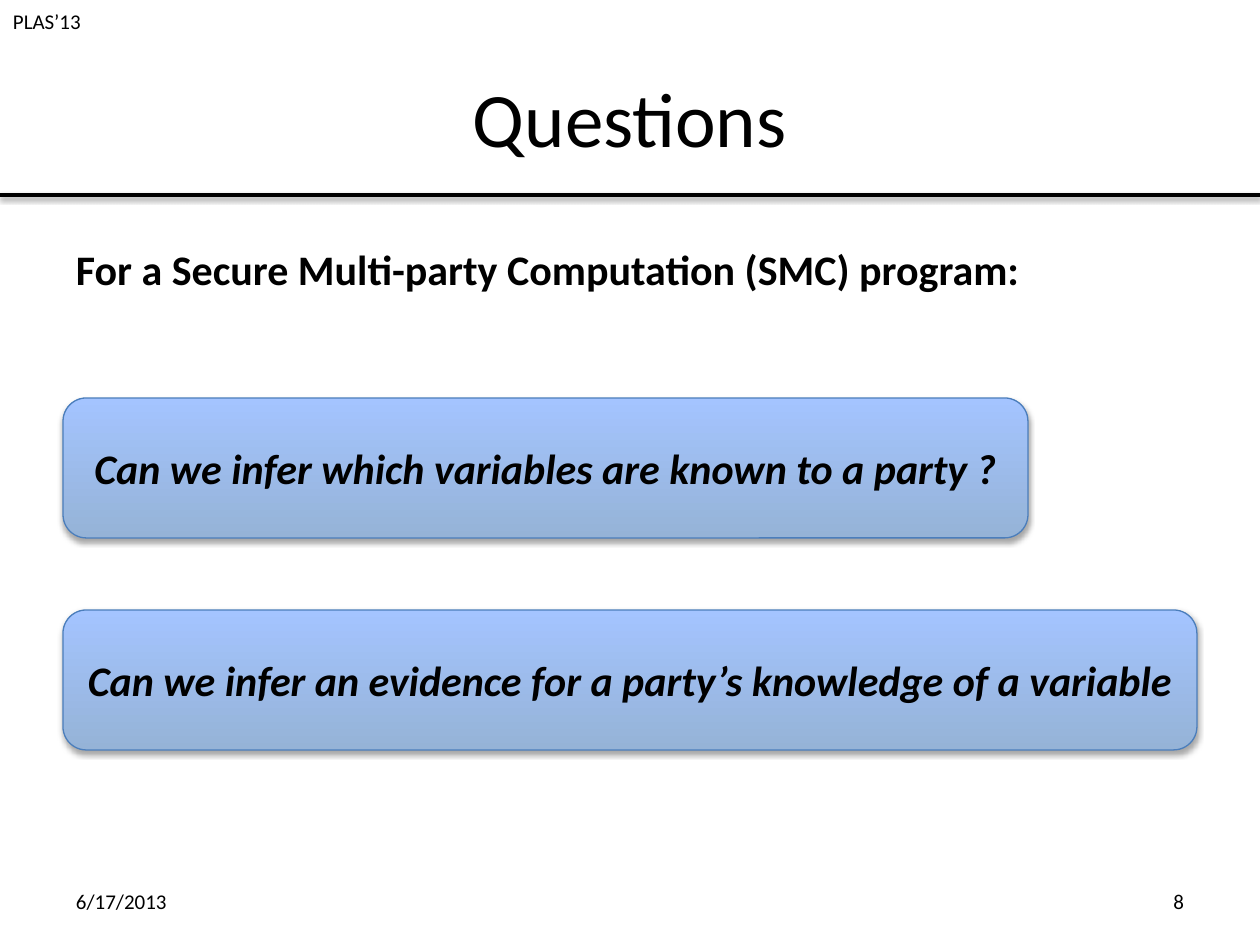
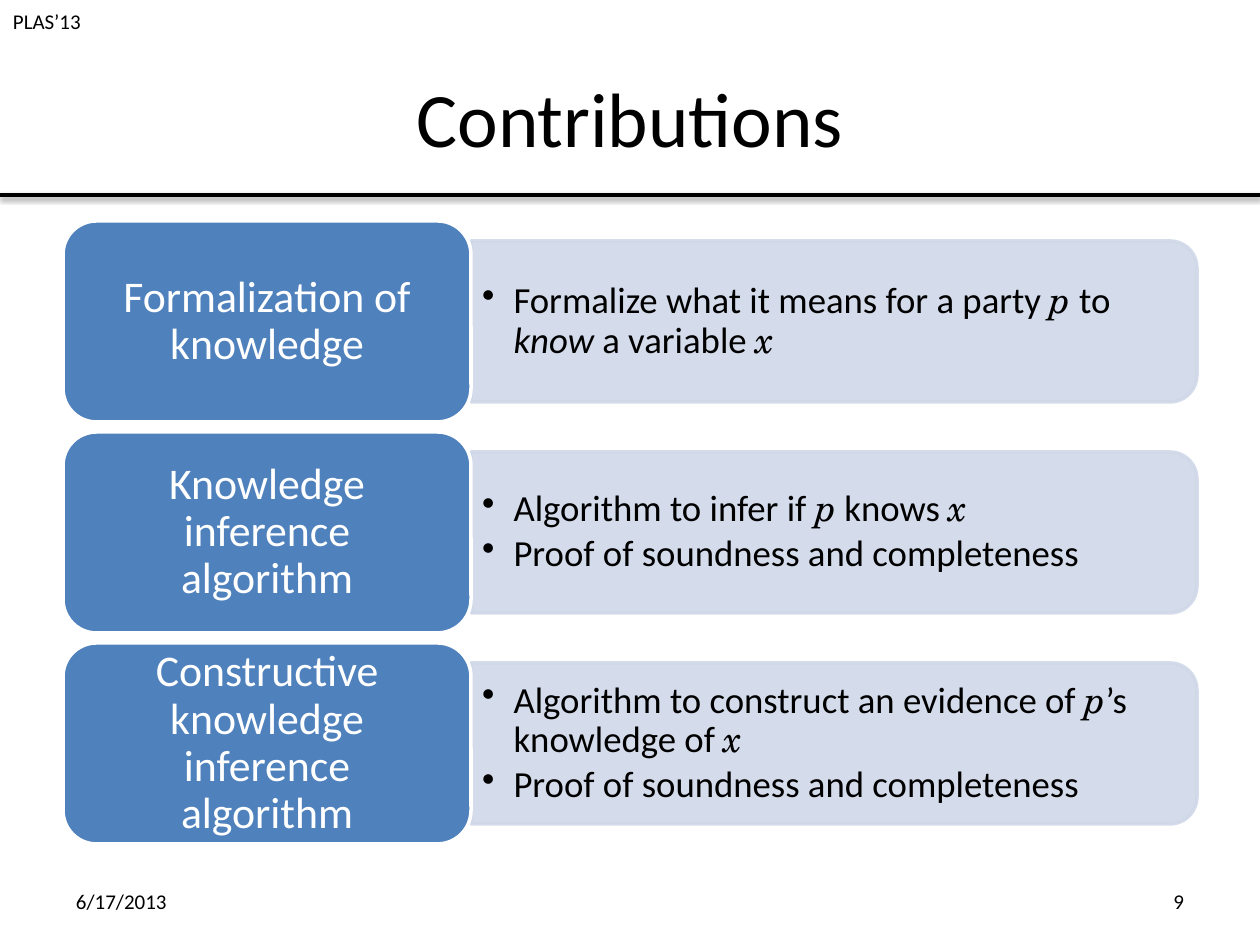
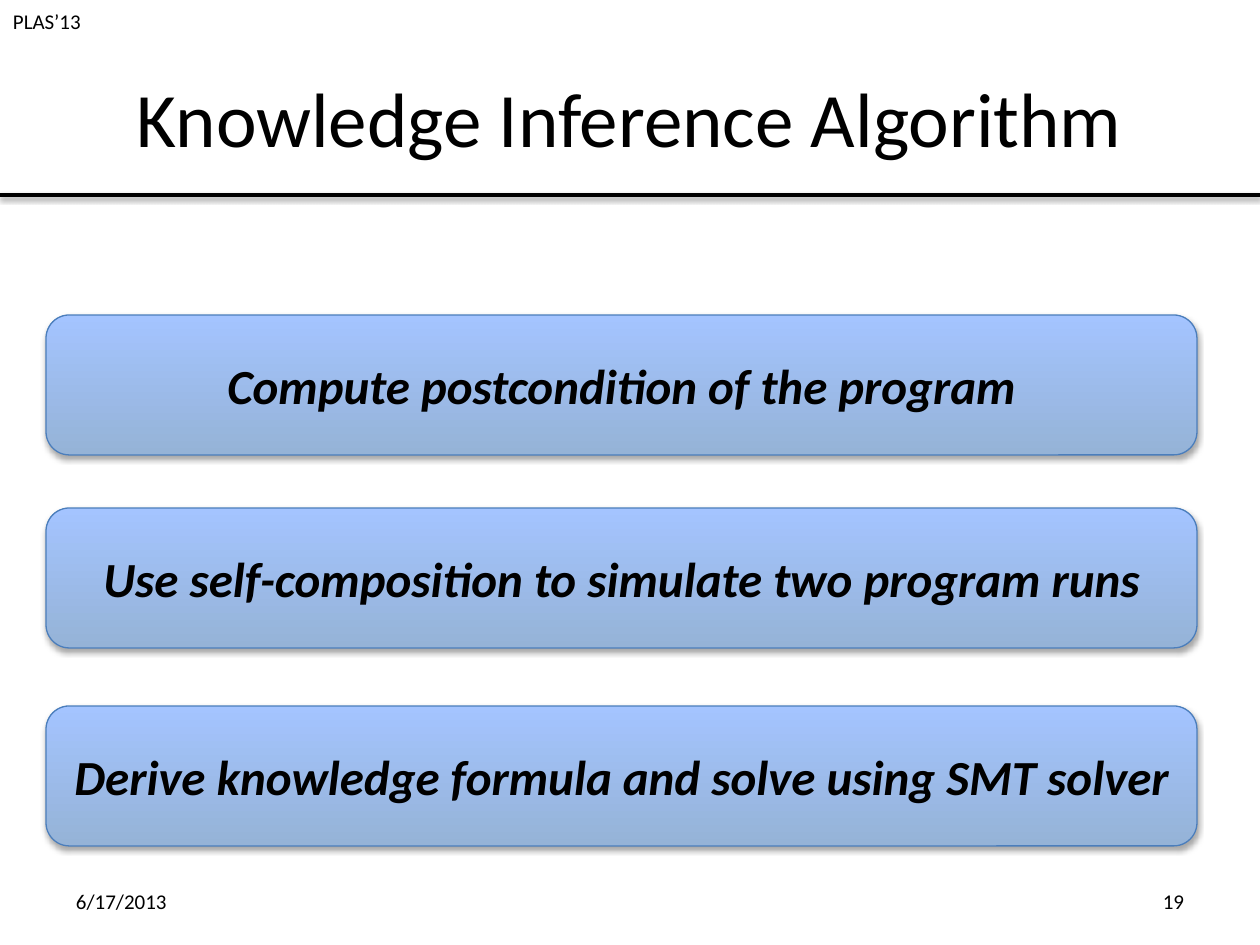
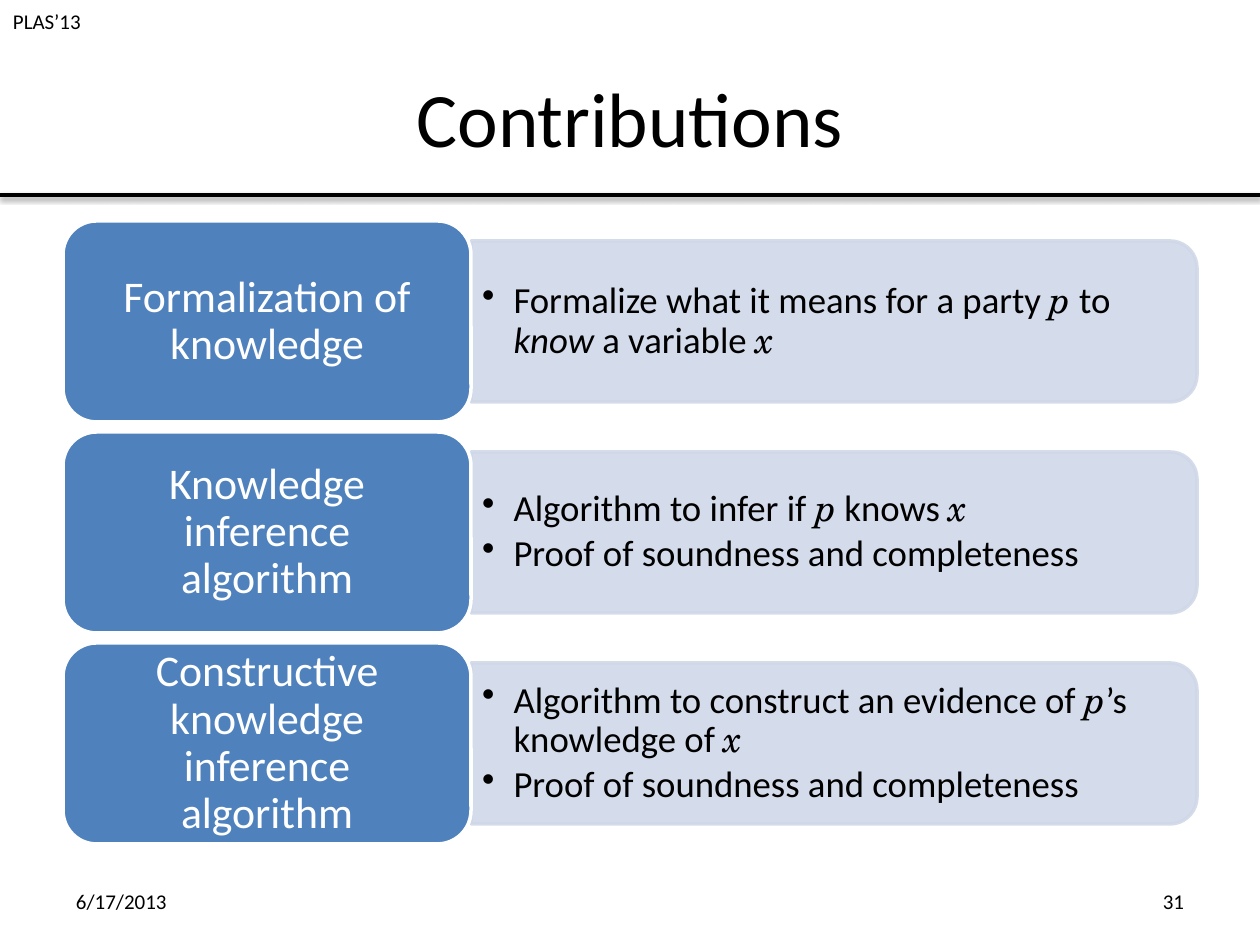
import math

from lxml import etree
from pptx import Presentation
from pptx.dml.color import RGBColor
from pptx.enum import shapes, text
from pptx.oxml import ns
from pptx.util import Emu, Pt

PX = 914400 / 126
COLORS = {
    "ink": "000000",
    "white": "FFFFFF",
    "card_bottom": "95B3D7",
    "card_top": "A4C4FF",
    "card_line": "4B7EBC",
    "head": "4F81BD",
    "panel": "D0D8E8",
}
RGB = {name: RGBColor.from_string(value) for name, value in COLORS.items()}
FONT = "Calibri"
MATH_FONT = "TeX Gyre Schola"
LEFT, CENTER, RIGHT = text.PP_ALIGN.LEFT, text.PP_ALIGN.CENTER, text.PP_ALIGN.RIGHT
TOP, MIDDLE = text.MSO_ANCHOR.TOP, text.MSO_ANCHOR.MIDDLE


def write(shape, paragraphs, size, color="ink", align=LEFT, anchor=MIDDLE,
          bold=False, italic=False, insets=(13, 6, 13, 6)):
    """Fill a shape with paragraphs, each a list of run texts."""
    frame = shape.text_frame
    frame.word_wrap = True
    frame.vertical_anchor = anchor
    (frame.margin_left, frame.margin_top,
     frame.margin_right, frame.margin_bottom) = [Emu(round(i * PX)) for i in insets]
    for index, spans in enumerate(paragraphs):
        paragraph = frame.add_paragraph() if index else frame.paragraphs[0]
        paragraph.alignment = align
        for words in spans:
            span = paragraph.add_run()
            span.text = words
            span.font.name = MATH_FONT if words in ("p", "x") else FONT
            span.font.size = Pt(size)
            span.font.bold = bold
            span.font.italic = italic or words in ("p", "x", "know")
            span.font.color.rgb = RGB[color]
    return frame


def cast_shadow(shape, opacity, distance):
    """Give a shape a soft shadow that falls straight down."""
    effects = etree.SubElement(shape._element.spPr, ns.qn("a:effectLst"))
    outer = etree.SubElement(effects, ns.qn("a:outerShdw"), blurRad="40000",
                             dist=str(distance), dir="5400000", rotWithShape="0")
    black = etree.SubElement(outer, ns.qn("a:srgbClr"), val=COLORS["ink"])
    etree.SubElement(black, ns.qn("a:alpha"), val=str(opacity * 1000))


# Content: cards are (left, top, width, words)
questions = [
    (63, 398, 965, "Can we infer which variables are known to a party ?"),
    (63, 610, 1134, "Can we infer an evidence for a party’s knowledge of a variable"),
]
steps = [
    (46, 315, 1151, "Compute postcondition of the program"),
    (46, 508, 1151, "Use self-composition to simulate two program runs"),
    (46, 706, 1151, "Derive knowledge formula and solve using SMT solver"),
]
proof = ["Proof of soundness and completeness"]
contributions = [
    ("Formalization of knowledge",
     [["Formalize what it means for a party ", "p", " to ", "know", " a variable ", "x"]]),
    ("Knowledge inference algorithm",
     [["Algorithm to infer if ", "p", " knows ", "x"], proof]),
    ("Constructive knowledge inference algorithm",
     [["Algorithm to construct an evidence of ", "p", "’s knowledge of ", "x"], proof]),
]
# Title, page number, lead line, cards, card text size, contribution rows
pages = [
    ("Questions", "8", "For a Secure Multi-party Computation (SMC) program:", questions, 24, []),
    ("Contributions", "9", "", [], 0, contributions),
    ("Knowledge Inference Algorithm", "19", "", steps, 28, []),
    ("Contributions", "31", "", [], 0, contributions),
]

deck = Presentation()
deck.slide_width, deck.slide_height = Emu(round(1260 * PX)), Emu(round(945 * PX))

for title, number, lead, cards, card_size, rows in pages:
    page = deck.slides.add_slide(deck.slide_layouts[6])

    # Rule under the title
    rule = page.shapes.add_connector(shapes.MSO_CONNECTOR.STRAIGHT,
                                     *[Emu(round(v * PX)) for v in (0, 195, 1260, 195)])
    rule.line.color.rgb = RGB["ink"]
    rule.line.width = Pt(2)
    cast_shadow(rule, 38, 20000)

    # Header, title, footers and lead line
    labels = [
        ((0, 3, 202, 38), "PLAS’13", 12, LEFT, TOP, False),
        ((63, 38, 1134, 157), title, 44, CENTER, MIDDLE, False),
        ((63, 876, 294, 50), "6/17/2013", 12, LEFT, MIDDLE, False),
        ((903, 876, 294, 50), number, 12, RIGHT, MIDDLE, False),
    ]
    if lead:
        labels.append(((63, 238, 984, 63), lead, 24, LEFT, TOP, True))
    for place, words, size, align, anchor, bold in labels:
        box = page.shapes.add_textbox(*[Emu(round(v * PX)) for v in place])
        write(box, [[words]], size, align=align, anchor=anchor, bold=bold)

    # Shaded cards
    for left, top, width, words in cards:
        card = page.shapes.add_shape(shapes.MSO_SHAPE.ROUNDED_RECTANGLE,
                                     *[Emu(round(v * PX)) for v in (left, top, width, 140)])
        card.fill.gradient()
        card.fill.gradient_angle = 90
        for stop, name in zip(card.fill.gradient_stops, ("card_bottom", "card_top")):
            stop.color.rgb = RGB[name]
        card.line.color.rgb = RGB["card_line"]
        card.line.width = Pt(0.75)
        cast_shadow(card, 35, 23000)
        write(card, [[words]], card_size, align=CENTER, bold=True, italic=True)

    # Contribution rows: a panel rounded on the right, then its head
    for index, (heading, details) in enumerate(rows):
        head_top = 221 + 211 * index
        left, right, top, bottom, radius = 471, 1197, head_top + 20, head_top + 181, 27
        outline = [(left, bottom), (left, top)]
        for center_y, start in ((top + radius, -90), (bottom - radius, 0)):
            for degrees in range(start, start + 91, 10):
                turn = math.radians(degrees)
                outline.append((right - radius + radius * math.cos(turn),
                                center_y + radius * math.sin(turn)))
        points = [(round(x * PX), round(y * PX)) for x, y in outline]
        builder = page.shapes.build_freeform(*points[0])
        builder.add_line_segments(points[1:], close=True)
        panel = builder.convert_to_shape()
        panel.shadow.inherit = False
        panel.fill.solid()
        panel.fill.fore_color.rgb = RGB["panel"]
        panel.line.color.rgb = RGB["panel"]
        panel.line.width = Pt(2)
        for tint in panel._element.spPr.iter(ns.qn("a:srgbClr")):
            etree.SubElement(tint, ns.qn("a:alpha"), val="90000")
        frame = write(panel, details, 21, insets=(11, 14, 19, 14))
        for order, paragraph in enumerate(frame.paragraphs):
            paragraph.level = 1
            paragraph.line_spacing = 0.9
            paragraph.space_before = Pt(3 if order else 0)
            layout = paragraph._p.get_or_add_pPr()
            layout.set("marL", "228600")
            layout.set("indent", "-228600")
            etree.SubElement(layout, ns.qn("a:buChar"), char="•")

        head = page.shapes.add_shape(shapes.MSO_SHAPE.ROUNDED_RECTANGLE,
                                     *[Emu(round(v * PX)) for v in (63, head_top, 408, 201)])
        head.shadow.inherit = False
        head.fill.solid()
        head.fill.fore_color.rgb = RGB["head"]
        head.line.color.rgb = RGB["white"]
        head.line.width = Pt(2)
        frame = write(head, [[heading]], 25, "white", CENTER, insets=(23, 16, 23, 16))
        frame.paragraphs[0].line_spacing = 0.9

deck.save("out.pptx")
